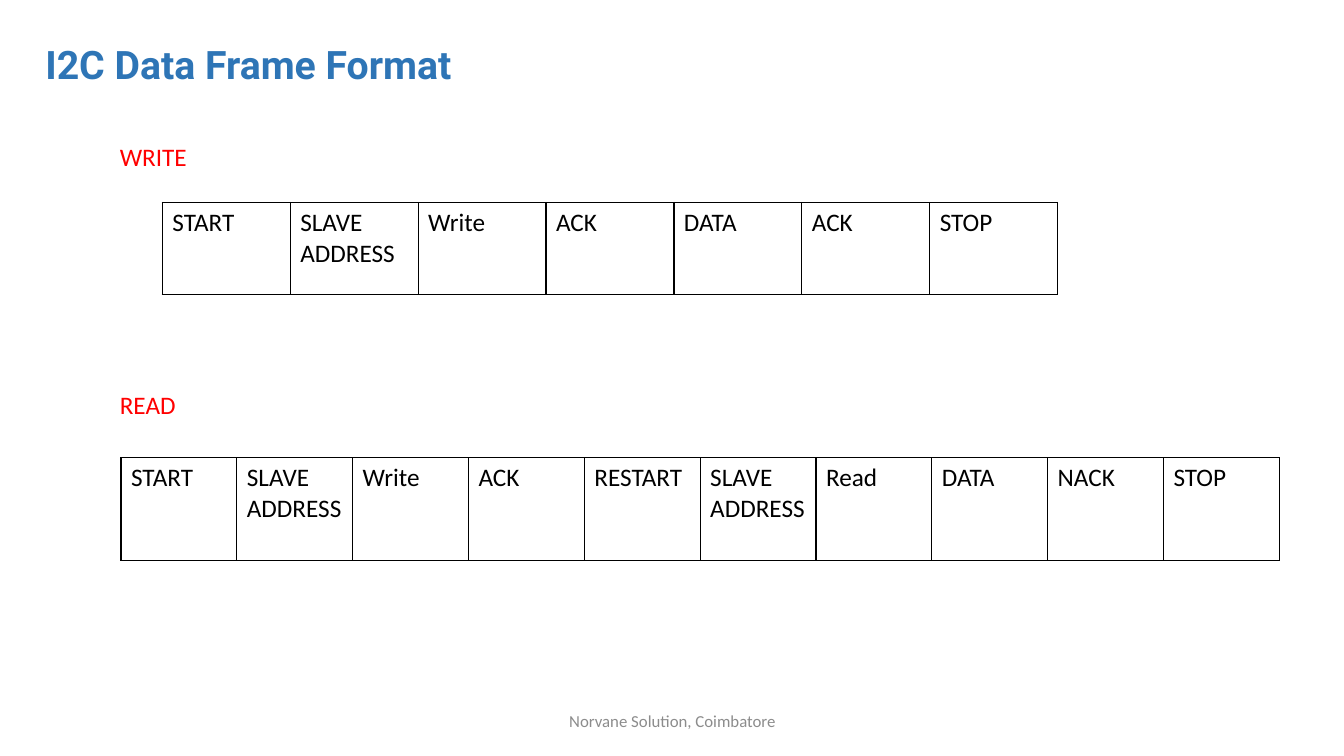
from dataclasses import dataclass

import pptx
import pptx.dml.color
import pptx.enum.text
import pptx.oxml
import pptx.oxml.ns
import pptx.util

ANCHOR = pptx.enum.text.MSO_ANCHOR
ALIGN = pptx.enum.text.PP_ALIGN
FIT = pptx.enum.text.MSO_AUTO_SIZE


@dataclass(frozen=True)
class Theme:
    width: float = 13.33
    height: float = 7.5
    heading_font: str = "Roboto"
    body_font: str = "Calibri"
    heading_color: str = "2E75B6"
    label_color: str = "FF0000"
    ink: str = "000000"
    footer_color: str = "8C8C8C"
    heading_size: int = 28
    body_size: int = 18
    footer_size: int = 12
    border_width: int = 1


THEME = Theme()
LABEL_LEFT = 1.09
LABEL_SIZE = (2.36, 0.4)
WRITE_FIELDS = ["START", "SLAVE\nADDRESS", "Write", "ACK", "DATA", "ACK", "STOP"]
READ_FIELDS = ["START", "SLAVE\nADDRESS", "Write", "ACK", "RESTART",
               "SLAVE\nADDRESS", "Read", "DATA", "NACK", "STOP"]


def inches(*lengths):
    return [pptx.util.Inches(length) for length in lengths]


def write_text(frame, text, font=THEME.body_font, size=THEME.body_size,
               color=THEME.ink, bold=False, align=ALIGN.LEFT, spacing=1.0):
    frame.text = text
    for paragraph in frame.paragraphs:
        paragraph.alignment = align
        paragraph.line_spacing = spacing
        for run in paragraph.runs:
            run.font.name = font
            run.font.size = pptx.util.Pt(size)
            run.font.bold = bold
            run.font.color.rgb = pptx.dml.color.RGBColor.from_string(color)


def add_heading(slide, text):
    heading = slide.shapes.title
    heading.left, heading.top, heading.width, heading.height = inches(0.35, 0.48, 7.26, 0.44)
    frame = heading.text_frame
    frame.auto_size = FIT.NONE
    frame.vertical_anchor = ANCHOR.BOTTOM
    write_text(frame, text, font=THEME.heading_font, size=THEME.heading_size,
               color=THEME.heading_color, bold=True, spacing=0.9)


def add_label(slide, text, box, anchor=ANCHOR.TOP, **text_format):
    frame = slide.shapes.add_textbox(*inches(*box)).text_frame
    frame.word_wrap = True
    frame.vertical_anchor = anchor
    write_text(frame, text, **text_format)


def outline_cell(cell):
    properties = cell._tc.get_or_add_tcPr()
    for side in ("lnL", "lnR", "lnT", "lnB"):
        properties.append(pptx.oxml.parse_xml(
            f'<a:{side} {pptx.oxml.ns.nsdecls("a")} w="{pptx.util.Pt(THEME.border_width)}">'
            f'<a:solidFill><a:srgbClr val="{THEME.ink}"/></a:solidFill></a:{side}>'))


def add_frame(slide, name, label_top, fields, box):
    add_label(slide, name, (LABEL_LEFT, label_top, *LABEL_SIZE), color=THEME.label_color)
    frame_table = slide.shapes.add_table(1, len(fields), *inches(*box)).table
    frame_table.first_row = False
    frame_table.horz_banding = False
    for cell, field in zip(frame_table.rows[0].cells, fields):
        outline_cell(cell)
        cell.fill.background()
        write_text(cell.text_frame, field)


def main():
    deck = pptx.Presentation()
    deck.slide_width, deck.slide_height = inches(THEME.width, THEME.height)
    slide = deck.slides.add_slide(deck.slide_layouts.get_by_name("Title Only"))
    add_heading(slide, "I2C Data Frame Format")
    add_frame(slide, "WRITE", 1.35, WRITE_FIELDS, (1.61, 2.01, 8.88, 0.91))
    add_frame(slide, "READ", 3.81, READ_FIELDS, (1.2, 4.54, 11.49, 1.02))
    add_label(slide, "Norvane Solution, Coimbatore", (4.42, 6.95, 4.5, 0.4),
              anchor=ANCHOR.MIDDLE, size=THEME.footer_size,
              color=THEME.footer_color, align=ALIGN.CENTER)
    deck.save("out.pptx")


if __name__ == "__main__":
    main()
